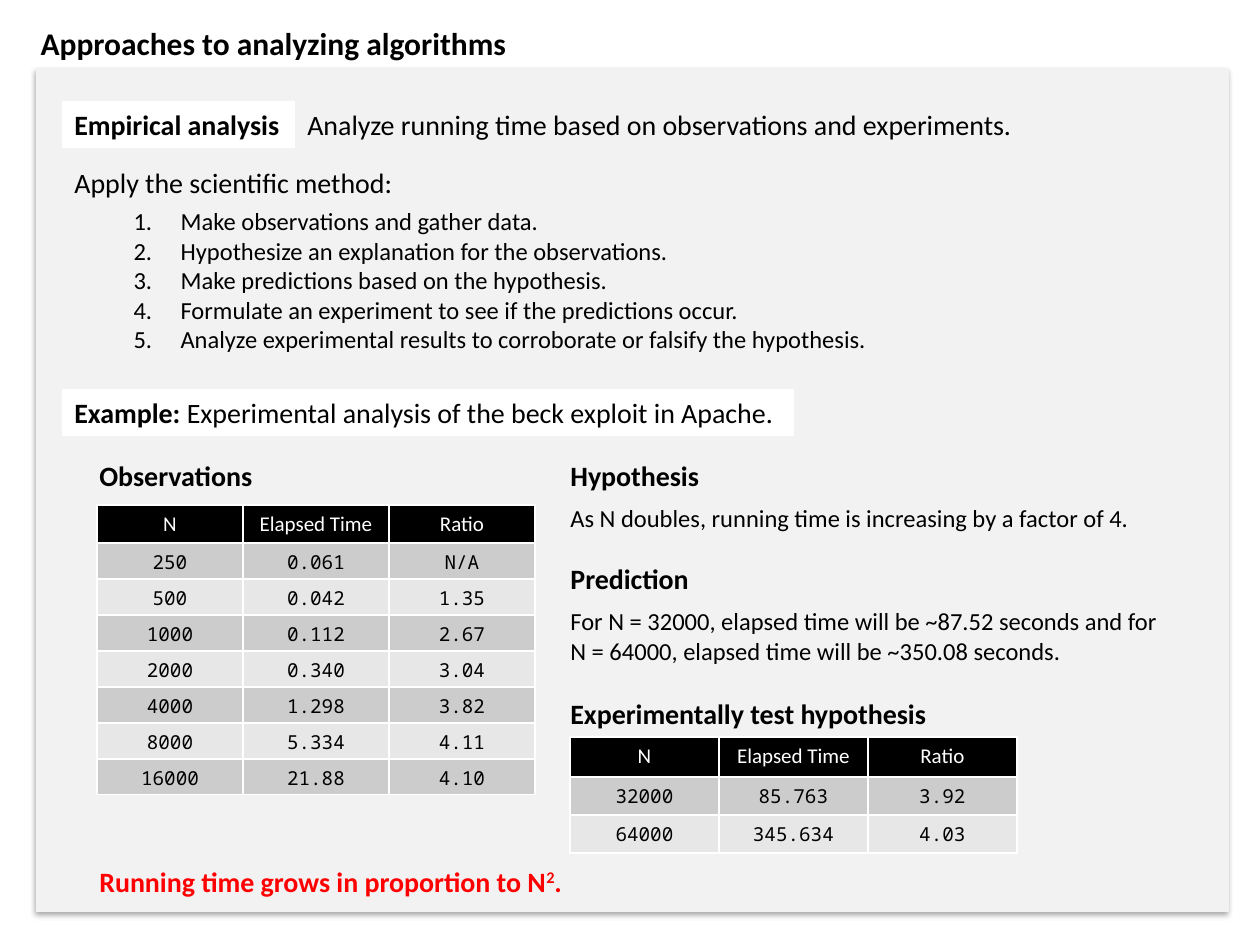
from lxml import etree
from pptx import Presentation
from pptx.dml.color import RGBColor
from pptx.enum.shapes import MSO_SHAPE
from pptx.enum.text import MSO_ANCHOR, MSO_AUTO_SIZE, PP_ALIGN
from pptx.oxml.ns import qn
from pptx.util import Emu, Pt

RECT = MSO_SHAPE.RECTANGLE
TOP, MIDDLE = MSO_ANCHOR.TOP, MSO_ANCHOR.MIDDLE
FIXED = MSO_AUTO_SIZE.NONE
LEFT, CENTER = PP_ALIGN.LEFT, PP_ALIGN.CENTER
BLACK = RGBColor(0x00, 0x00, 0x00)
WHITE = RGBColor(0xFF, 0xFF, 0xFF)
RED = RGBColor(0xFF, 0x00, 0x00)
PANEL = RGBColor(0xF2, 0xF2, 0xF2)
DARK = RGBColor(0xCC, 0xCC, 0xCC)
LIGHT = RGBColor(0xE7, 0xE7, 0xE7)
SANS, MONO = "Calibri", "Noto Sans Mono"
SCALE = 914400 / 126


def px(*sizes):
    return [Emu(round(size * SCALE)) for size in sizes]


def write(para, text, size, bold=False, color=BLACK, name=SANS, align=LEFT):
    para.alignment = align
    para.space_before = Pt(0)
    run = para.add_run()
    run.text = text
    look = {"size": Pt(size), "bold": bold, "name": name}
    for key, value in look.items():
        setattr(run.font, key, value)
    run.font.color.rgb = color
    return run


prs = Presentation()
prs.slide_width, prs.slide_height = px(1260, 945)
slide = prs.slides.add_slide(prs.slide_layouts[1])
shapes = slide.shapes
title, body = slide.placeholders

panel = shapes.add_shape(RECT, *px(36, 69, 1193, 843))
panel.fill.solid()
panel.fill.fore_color.rgb = PANEL
panel.line.fill.background()
panel.shadow.inherit = False
effects = panel._element.spPr.find(qn("a:effectLst"))
shadow = etree.SubElement(effects, qn("a:outerShdw"), blurRad="39400",
                          dist="22900", dir="5400000", rotWithShape="0")
tint = etree.SubElement(shadow, qn("a:srgbClr"), val="000000")
etree.SubElement(tint, qn("a:alpha"), val="35000")
title._element.addprevious(panel._element)

frames = [(title, (28, 18, 498, 50)), (body, (121, 200, 767, 161))]
for holder, box in frames:
    holder.left, holder.top, holder.width, holder.height = px(*box)
    look = {"auto_size": FIXED, "word_wrap": False, "vertical_anchor": TOP}
    for key, value in look.items():
        setattr(holder.text_frame, key, value)
write(title.text_frame.paragraphs[0], "Approaches to analyzing algorithms", 18, True)

steps = [
    "Make observations and gather data.",
    "Hypothesize an explanation for the observations.",
    "Make predictions based on the hypothesis.",
    "Formulate an experiment to see if the predictions occur.",
    "Analyze experimental results to corroborate or falsify the hypothesis.",
]
indent = px(47)[0]
for index, step in enumerate(steps):
    frame = body.text_frame
    para = frame.add_paragraph() if index else frame.paragraphs[0]
    write(para, step, 14)
    props = para._p.get_or_add_pPr()
    props.set("marL", str(indent))
    props.set("indent", str(-indent))
    etree.SubElement(props, qn("a:buFont"), typeface="+mj-lt")
    etree.SubElement(props, qn("a:buAutoNum"), type="arabicPeriod")

labels = [
    ((62, 101, 233, 47), 16, WHITE, [("Empirical analysis", True)]),
    ((295, 101, 741, 47), 16, None,
     [("Analyze running time based on observations and experiments.", False)]),
    ((62, 159, 348, 47), 16, None, [("Apply the scientific method:", False)]),
    ((62, 389, 732, 47), 16, WHITE,
     [("Example: ", True),
      ("Experimental analysis of the beck exploit in Apache.", False)]),
    ((87, 452, 181, 47), 16, None, [("Observations", True)]),
    ((558, 452, 156, 47), 16, None, [("Hypothesis", True)]),
    ((558, 497, 590, 42), 14, None,
     [("As N doubles, running time is increasing by a factor of 4.", False)]),
    ((558, 555, 146, 47), 16, None, [("Prediction", True)]),
    ((558, 600, 628, 72), 14, None,
     [("For N = 32000, elapsed time will be ~87.52 seconds and for "
       "N = 64000, elapsed time will be ~350.08 seconds.", False)]),
    ((558, 690, 388, 47), 16, None, [("Experimentally test hypothesis", True)]),
]
for box, size, fill, parts in labels:
    label = shapes.add_textbox(*px(*box))
    label.text_frame.word_wrap = box[3] > 50
    if fill is not None:
        label.fill.solid()
        label.fill.fore_color.rgb = fill
    for text, bold in parts:
        write(label.text_frame.paragraphs[0], text, size, bold)

result = shapes.add_textbox(*px(87, 858, 501, 47))
result.text_frame.word_wrap = False
for text, base in [("Running time grows in proportion to N", 0), ("2", 30000), (".", 0)]:
    run = write(result.text_frame.paragraphs[0], text, 16, True, RED)
    if base:
        run._r.get_or_add_rPr().set("baseline", str(base))

head = ("N", "Elapsed Time", "Ratio")
trials = [
    head,
    ("250", "0.061", "N/A"),
    ("500", "0.042", "1.35"),
    ("1000", "0.112", "2.67"),
    ("2000", "0.340", "3.04"),
    ("4000", "1.298", "3.82"),
    ("8000", "5.334", "4.11"),
    ("16000", "21.88", "4.10"),
]
tests = [head, ("32000", "85.763", "3.92"), ("64000", "345.634", "4.03")]
grids = [(trials, 97, 505, 146, 38, 36), (tests, 570, 737, 149, 40, 38)]
for rows, left, top, width, first, rest in grids:
    high = first + rest * (len(rows) - 1)
    table = shapes.add_table(len(rows), 3, *px(left, top, 3 * width, high)).table
    for column in table.columns:
        column.width = px(width)[0]
    for r, row in enumerate(rows):
        table.rows[r].height = px(rest if r else first)[0]
        for c, text in enumerate(row):
            cell = table.cell(r, c)
            cell.vertical_anchor = MIDDLE if r else TOP
            cell.fill.solid()
            cell.fill.fore_color.rgb = (DARK if r % 2 else LIGHT) if r else BLACK
            size, color, name = (11, BLACK, MONO) if r else (12, WHITE, SANS)
            write(cell.text_frame.paragraphs[0], text, size, False, color, name, CENTER)

prs.save("out.pptx")
